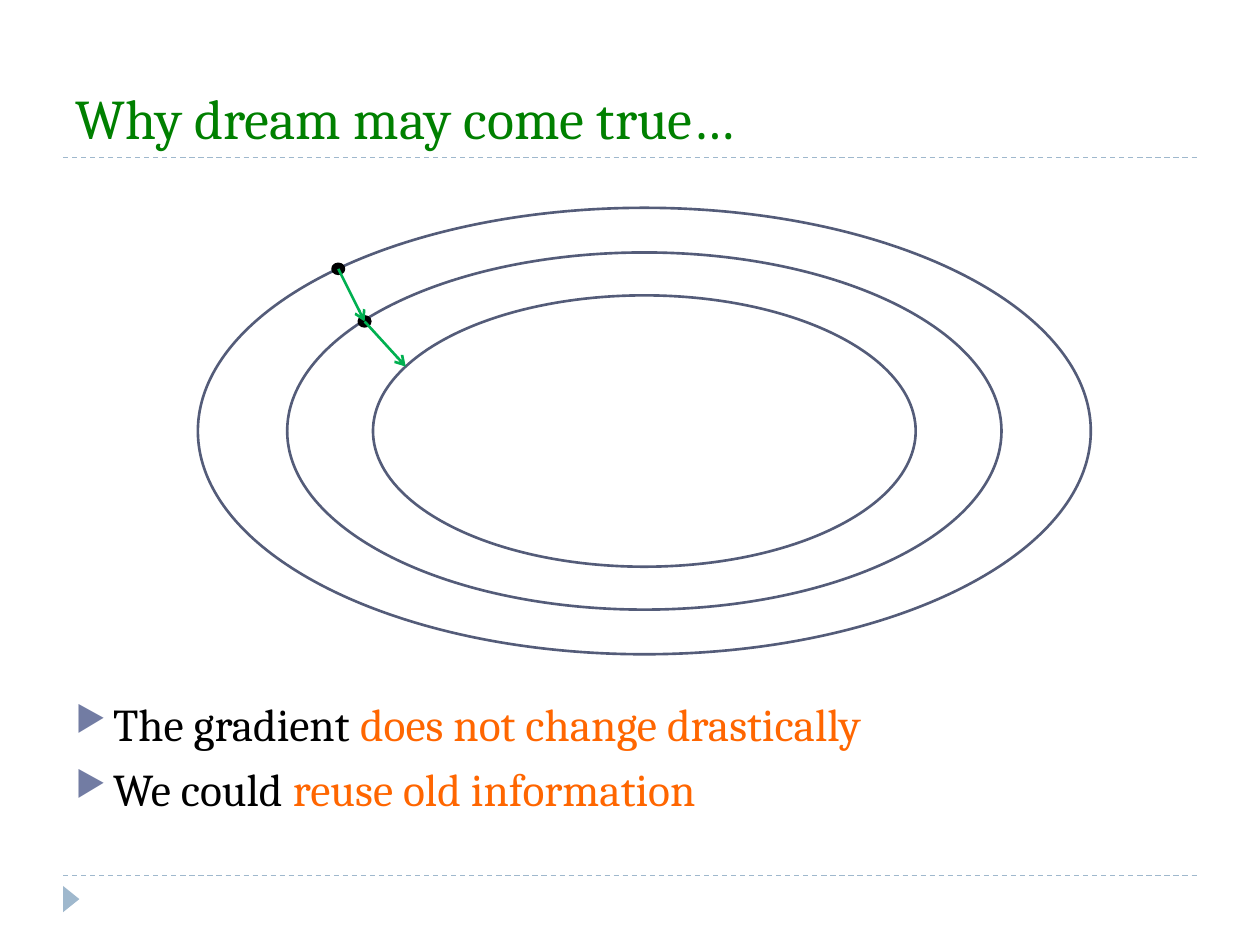
from itertools import pairwise

from lxml import etree
from pptx import Presentation
from pptx.dml.color import RGBColor
from pptx.enum import dml, shapes, text
from pptx.oxml import ns
from pptx.util import Cm, Pt

PALE_BLUE = RGBColor(0x9F, 0xB8, 0xCD)
BULLET_BLUE = RGBColor(0x72, 0x7C, 0xA3)
CONTOUR_BLUE = RGBColor(0x54, 0x5C, 0x79)
TITLE_GREEN = RGBColor(0x00, 0x80, 0x00)
ARROW_GREEN = RGBColor(0x00, 0xB0, 0x50)
ORANGE = RGBColor(0xFF, 0x66, 0x00)
BLACK = RGBColor(0, 0, 0)
FONT = "Cambria"

deck = Presentation()
deck.slide_width, deck.slide_height = Cm(25.4), Cm(19.05)
page = deck.slides.add_slide(deck.slide_layouts[6])


def add_line(start, end, color, width):
    line = page.shapes.add_connector(
        shapes.MSO_CONNECTOR.STRAIGHT, *map(Cm, (*start, *end)))
    line.line.color.rgb = color
    line.line.width = Pt(width)
    etree.SubElement(line._element.spPr, ns.qn("a:effectLst"))
    return line


def add_ellipse(center, width, height, color, filled=False):
    x, y = center
    ellipse = page.shapes.add_shape(
        shapes.MSO_SHAPE.OVAL, Cm(x - width / 2), Cm(y - height / 2),
        Cm(width), Cm(height))
    ellipse.shadow.inherit = False
    ellipse.line.color.rgb = color
    ellipse.line.width = Pt(1.5)
    if filled:
        ellipse.fill.solid()
        ellipse.fill.fore_color.rgb = color
    else:
        ellipse.fill.background()


# Page frame
for y in (17.65, 3.18):
    rule = add_line((1.27, y), (24.13, y), PALE_BLUE, 0.75)
    rule.line.dash_style = dml.MSO_LINE.DASH

marker = page.shapes.add_shape(
    shapes.MSO_SHAPE.ISOSCELES_TRIANGLE, Cm(1.17), Cm(17.96), Cm(0.53), Cm(0.33))
marker.rotation = 90
marker.shadow.inherit = False
marker.fill.solid()
marker.fill.fore_color.rgb = PALE_BLUE
marker.line.fill.background()

# Title
title = page.shapes.add_textbox(Cm(1.27), Cm(0.43), Cm(22.86), Cm(2.74)).text_frame
title.word_wrap = True
title.vertical_anchor = text.MSO_ANCHOR.BOTTOM
para = title.paragraphs[0]
para.text = "Why dream may come true…"
para.font.name, para.font.size = FONT, Pt(32)
para.font.color.rgb = TITLE_GREEN

# Bulleted statements
STATEMENTS = [
    ("The gradient ", "does not change drastically"),
    ("We could ", "reuse old information"),
]
body = page.shapes.add_textbox(Cm(1.27), Cm(13.9), Cm(22.86), Cm(3.2)).text_frame
body.word_wrap = True
for index, statement in enumerate(STATEMENTS):
    para = body.add_paragraph() if index else body.paragraphs[0]
    para.font.name, para.font.size = FONT, Pt(26)
    para.space_before = Pt(6 if index else 0)
    for words, color in zip(statement, (BLACK, ORANGE)):
        span = para.add_run()
        span.text = words
        span.font.color.rgb = color
    properties = para._p.get_or_add_pPr()
    properties.set("marL", str(Cm(0.76)))
    properties.set("indent", str(-Cm(0.76)))
    bullet_color = etree.Element(ns.qn("a:buClr"))
    etree.SubElement(bullet_color, ns.qn("a:srgbClr"), val=str(BULLET_BLUE))
    bullet_size = etree.Element(ns.qn("a:buSzPct"), val="76000")
    bullet = etree.Element(ns.qn("a:buChar"), char="▶")
    defaults = properties.find(ns.qn("a:defRPr"))
    for element in (bullet_color, bullet_size, bullet):
        defaults.addprevious(element)

# Contours, twice as wide as high, around one centre
for width in (18, 14.4, 10.94):
    add_ellipse((12.99, 8.69), width, width / 2, CONTOUR_BLUE)

# Gradient steps from contour to contour
steps = [(6.82, 5.42), (7.35, 6.48), (8.18, 7.39)]
for point in steps[:-1]:
    add_ellipse(point, 0.23, 0.2, BLACK, filled=True)
for start, end in pairwise(steps):
    arrow = add_line(start, end, ARROW_GREEN, 1.5)
    etree.SubElement(arrow.line._get_or_add_ln(), ns.qn("a:tailEnd"), type="arrow")

deck.save("out.pptx")
